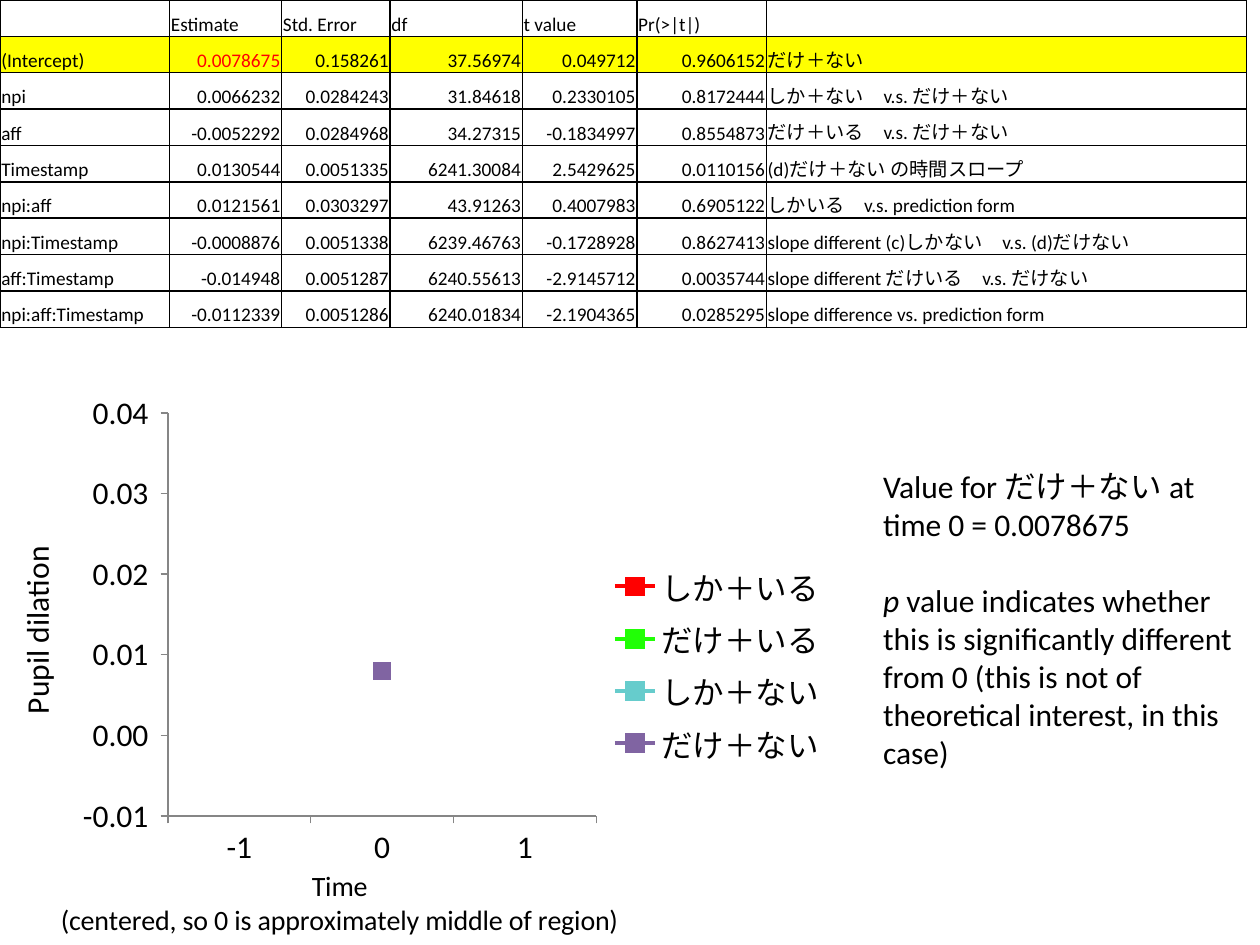
from dataclasses import dataclass

from lxml import etree
from pptx import Presentation
from pptx.chart.data import CategoryChartData
from pptx.dml.color import RGBColor as RGB
from pptx.enum.chart import XL_AXIS_CROSSES as CROSSES
from pptx.enum.chart import XL_CHART_TYPE as CHART
from pptx.enum.chart import XL_LEGEND_POSITION as LEGEND
from pptx.enum.chart import XL_MARKER_STYLE as MARKER
from pptx.enum.chart import XL_TICK_MARK as TICK
from pptx.enum.text import MSO_ANCHOR, PP_ALIGN
from pptx.oxml import parse_xml
from pptx.oxml.ns import nsdecls, qn
from pptx.util import Pt


@dataclass(frozen=True)
class Theme:
    font: str = "Calibri"
    text: str = "000000"
    alert: str = "FF0000"
    highlight: str = "FFFF00"
    border: str = "000000"
    axis: str = "868686"
    table_size: float = 11
    body_size: float = 18
    time_size: float = 16


THEME = Theme()

HEADER = ["", "Estimate", "Std. Error", "df", "t value", "Pr(>|t|)", ""]
EFFECTS = [
    ["(Intercept)", "0.0078675", "0.158261", "37.56974", "0.049712", "0.9606152",
     "だけ＋ない"],
    ["npi", "0.0066232", "0.0284243", "31.84618", "0.2330105", "0.8172444",
     "しか＋ない　v.s. だけ＋ない"],
    ["aff", "-0.0052292", "0.0284968", "34.27315", "-0.1834997", "0.8554873",
     "だけ＋いる　v.s. だけ＋ない"],
    ["Timestamp", "0.0130544", "0.0051335", "6241.30084", "2.5429625", "0.0110156",
     "(d)だけ＋ない の時間スロープ"],
    ["npi:aff", "0.0121561", "0.0303297", "43.91263", "0.4007983", "0.6905122",
     "しかいる　v.s. prediction form"],
    ["npi:Timestamp", "-0.0008876", "0.0051338", "6239.46763", "-0.1728928", "0.8627413",
     "slope different (c)しかない　v.s. (d)だけない"],
    ["aff:Timestamp", "-0.014948", "0.0051287", "6240.55613", "-2.9145712", "0.0035744",
     "slope different だけいる　v.s. だけない"],
    ["npi:aff:Timestamp", "-0.0112339", "0.0051286", "6240.01834", "-2.1904365", "0.0285295",
     "slope difference vs. prediction form"],
]
COLUMN_WIDTHS = [97, 64, 62, 75.5, 65.5, 74, 274.5]

TIMES = [-1.0, 0.0, 1.0]
CONDITIONS = [
    ("しか＋いる", "FF0000", [None, None, None]),
    ("だけ＋いる", "21FF06", [None, None, None]),
    ("しか＋ない", "66CCCC", [None, None, None]),
    ("だけ＋ない", "8064A2", [None, 0.008, None]),
]


def apply(obj, values):
    for name, value in values.items():
        setattr(obj, name, value)


def style_font(font, size, color=THEME.text, **extra):
    apply(font, {"name": THEME.font, "size": Pt(size), **extra})
    font.color.rgb = RGB.from_string(color)


def add_borders(cell):
    tc_pr = cell._tc.get_or_add_tcPr()
    for i, side in enumerate(("lnL", "lnR", "lnT", "lnB")):
        tc_pr.insert(i, parse_xml(
            f'<a:{side} {nsdecls("a")} w="{Pt(1)}"><a:solidFill>'
            f'<a:srgbClr val="{THEME.border}"/></a:solidFill></a:{side}>'))


def fill_cell(cell, text, color, align, highlighted):
    apply(cell, {"vertical_anchor": MSO_ANCHOR.BOTTOM, "margin_left": Pt(0.75),
                 "margin_right": Pt(0.75), "margin_top": Pt(0.75), "margin_bottom": 0})
    if highlighted:
        cell.fill.solid()
        cell.fill.fore_color.rgb = RGB.from_string(THEME.highlight)
    else:
        cell.fill.background()
    add_borders(cell)
    p = cell.text_frame.paragraphs[0]
    p.alignment = align
    if text:
        r = p.add_run()
        r.text = text
        style_font(r.font, THEME.table_size, color)
    else:
        # An empty cell keeps the small type size, so its row does not grow
        etree.SubElement(p._p, qn("a:endParaRPr"), sz=str(int(THEME.table_size * 100)))


def add_effects_table(slide, x, y, w, h):
    rows = [HEADER] + EFFECTS
    table = slide.shapes.add_table(len(rows), len(HEADER), Pt(x), Pt(y), Pt(w), Pt(h)).table
    apply(table, {"first_row": False, "horz_banding": False})
    for column, width in zip(table.columns, COLUMN_WIDTHS):
        column.width = Pt(width)
    for i, row in enumerate(rows):
        table.rows[i].height = Pt(h / len(rows))
        for j, text in enumerate(row):
            numeric = i > 0 and 0 < j < len(row) - 1
            fill_cell(table.cell(i, j), text,
                      color=THEME.alert if (i, j) == (1, 1) else THEME.text,
                      align=PP_ALIGN.RIGHT if numeric else PP_ALIGN.LEFT,
                      highlighted=i == 1)


def title_axis(axis, lines, size):
    tf = axis.axis_title.text_frame
    for i, line in enumerate(lines):
        p = tf.add_paragraph() if i else tf.paragraphs[0]
        r = p.add_run()
        r.text = line
        style_font(r.font, size, bold=False)


def place_plot(chart, x, y, w, h):
    area = chart._chartSpace.chart.plotArea
    for old in area.findall(qn("c:layout")):
        area.remove(old)
    settings = {"layoutTarget": "inner", "xMode": "edge", "yMode": "edge",
                "x": x, "y": y, "w": w, "h": h}
    items = "".join(f'<c:{k} val="{v}"/>' for k, v in settings.items())
    area.insert(0, parse_xml(
        f'<c:layout {nsdecls("c")}><c:manualLayout>{items}</c:manualLayout></c:layout>'))


def add_dilation_chart(slide, x, y, w, h):
    data = CategoryChartData()
    data.categories = TIMES
    for name, _, values in CONDITIONS:
        data.add_series(name, values)
    chart = slide.shapes.add_chart(
        CHART.LINE_MARKERS, Pt(x), Pt(y), Pt(w), Pt(h), data).chart
    apply(chart, {"has_title": False, "has_legend": True})
    style_font(chart.font, THEME.body_size)
    apply(chart.legend, {"position": LEGEND.RIGHT, "include_in_layout": False})
    chart.plots[0].vary_by_categories = False
    place_plot(chart, 0.2, 0.05, 0.51, 0.72)

    # Axes
    time, dilation = chart.category_axis, chart.value_axis
    for axis in (time, dilation):
        apply(axis, {"has_major_gridlines": False, "major_tick_mark": TICK.OUTSIDE,
                     "minor_tick_mark": TICK.NONE})
        axis.format.line.color.rgb = RGB.from_string(THEME.axis)
        axis.format.line.width = Pt(0.75)
    apply(dilation, {"minimum_scale": -0.01, "maximum_scale": 0.04, "major_unit": 0.01,
                     "crosses": CROSSES.MINIMUM})
    apply(dilation.tick_labels, {"number_format": "0.00_ ", "number_format_is_linked": False})
    title_axis(time, ["Time", "(centered, so 0 is approximately middle of region)"],
               THEME.time_size)
    title_axis(dilation, ["Pupil dilation"], THEME.body_size)

    # Series
    for series, (_, color, _) in zip(chart.plots[0].series, CONDITIONS):
        rgb = RGB.from_string(color)
        series.smooth = False
        series.format.line.color.rgb = rgb
        apply(series.marker, {"style": MARKER.SQUARE, "size": 10})
        series.marker.format.fill.solid()
        series.marker.format.fill.fore_color.rgb = rgb
        series.marker.format.line.color.rgb = rgb


def add_explanation(slide, x, y, w, h):
    tf = slide.shapes.add_textbox(Pt(x), Pt(y), Pt(w), Pt(h)).text_frame
    tf.word_wrap = True
    paragraphs = [
        [("Value for だけ＋ない at time 0 = 0.0078675", False)],
        [("p", True),
         (" value indicates whether this is significantly different from 0 "
          "(this is not of theoretical interest, in this case)", False)],
    ]
    for i, runs in enumerate(paragraphs):
        p = tf.add_paragraph() if i else tf.paragraphs[0]
        p.space_before = Pt(22 * i)
        for text, italic in runs:
            r = p.add_run()
            r.text = text
            style_font(r.font, THEME.body_size, italic=italic)


def main():
    prs = Presentation()
    apply(prs, {"slide_width": Pt(720), "slide_height": Pt(540)})
    slide = prs.slides.add_slide(prs.slide_layouts[6])
    add_effects_table(slide, 0, 0, sum(COLUMN_WIDTHS), 187.2)
    add_explanation(slide, 497.5, 263.5, 214.5, 181.5)
    add_dilation_chart(slide, 0, 220, 480, 320)
    prs.save("out.pptx")


if __name__ == "__main__":
    main()
